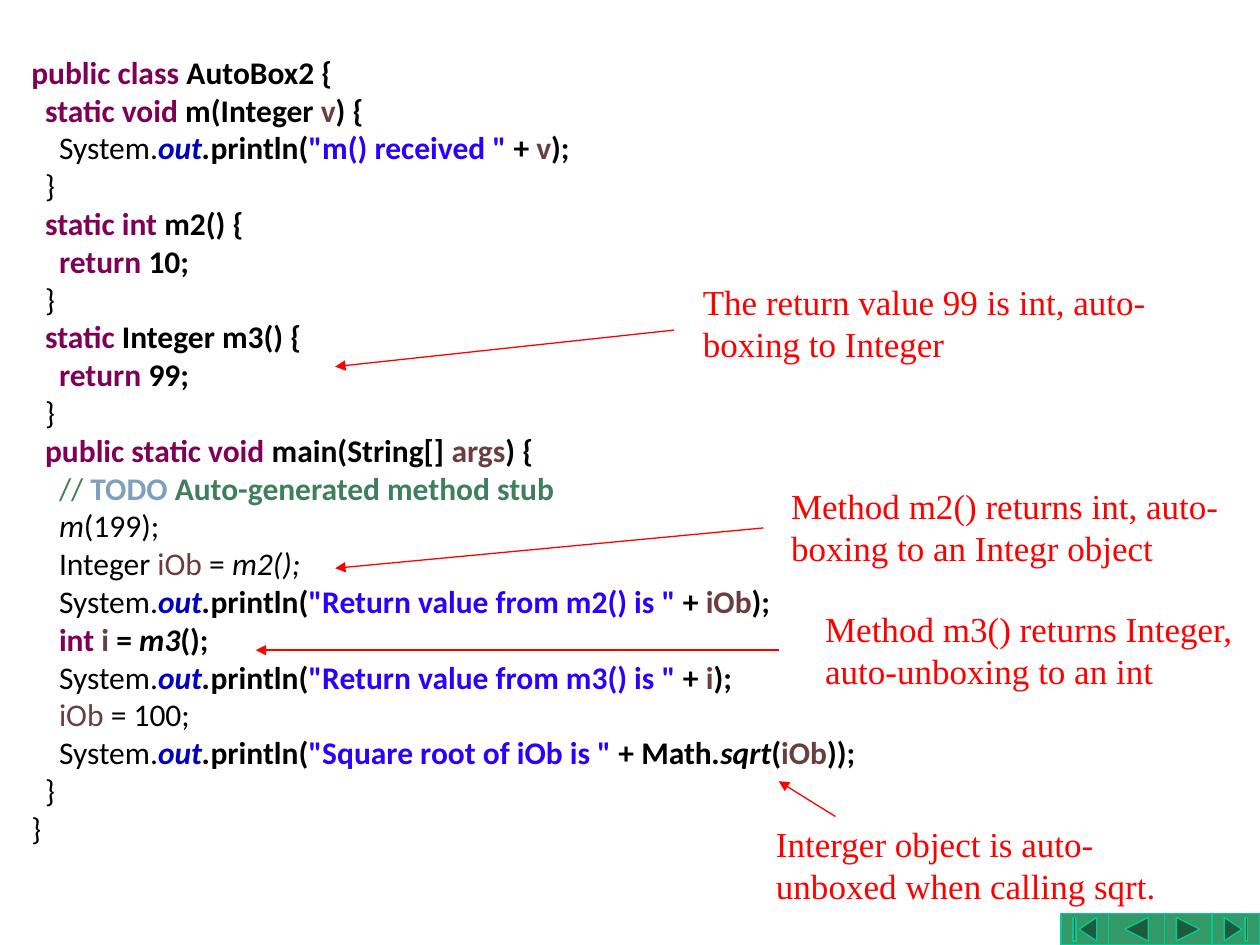
from dataclasses import dataclass
from lxml import etree
from pptx import Presentation
from pptx.dml.color import RGBColor
from pptx.enum.shapes import MSO_CONNECTOR, MSO_SHAPE
from pptx.enum.text import MSO_AUTO_SIZE
from pptx.oxml.ns import qn
from pptx.util import Inches, Pt

STRAIGHT = MSO_CONNECTOR.STRAIGHT
FIT = MSO_AUTO_SIZE.SHAPE_TO_FIT_TEXT
FIRST = MSO_SHAPE.ACTION_BUTTON_BEGINNING
BACK = MSO_SHAPE.ACTION_BUTTON_BACK_OR_PREVIOUS
NEXT = MSO_SHAPE.ACTION_BUTTON_FORWARD_OR_NEXT
LAST = MSO_SHAPE.ACTION_BUTTON_END


@dataclass(frozen=True)
class Theme:
    code_font: str = "Calibri"
    note_font: str = "Times New Roman"
    code_size: int = 18
    note_size: int = 20
    thin: float = 0.75
    step: float = 0.11
    black: str = "000000"
    key: str = "7F0055"
    name: str = "6A3E3E"
    field: str = "0000C0"
    text: str = "2A00FF"
    remark: str = "3F7F5F"
    todo: str = "7F9FBF"
    red: str = "FF0000"
    green: str = "339966"
    edge: str = "00CC99"


THEME = Theme()

# Code styles: colour, bold, italic
STYLES = {
    "plain": (THEME.black, False, False),
    "slant": (THEME.black, False, True),
    "bold": (THEME.black, True, False),
    "call": (THEME.black, True, True),
    "key": (THEME.key, True, False),
    "name": (THEME.name, True, False),
    "light": (THEME.name, False, False),
    "field": (THEME.field, True, True),
    "text": (THEME.text, True, False),
    "slash": (THEME.remark, False, False),
    "remark": (THEME.remark, True, False),
    "todo": (THEME.todo, True, False),
}


def printed(label, *rest):
    """Runs of one print statement."""
    return [("System.", "plain"), ("out", "field"), (".", "call"),
            ("println(", "bold"), (f'"{label} "', "text"), *rest]


def value(name):
    return [(" + ", "bold"), (name, "name"), (");", "bold")]


# Code lines: depth, runs
CLOSE = (1, [("}", "plain")])
CODE = [
    (0, [("public class", "key"), (" AutoBox2 {", "bold")]),
    (1, [("static void", "key"), (" m(Integer ", "bold"), ("v", "name"), (") {", "bold")]),
    (2, printed("m() received", *value("v"))),
    CLOSE,
    (1, [("static int", "key"), (" m2() {", "bold")]),
    (2, [("return", "key"), (" 10;", "bold")]),
    CLOSE,
    (1, [("static", "key"), (" Integer m3() {", "bold")]),
    (2, [("return", "key"), (" 99;", "bold")]),
    CLOSE,
    (1, [("public static void", "key"), (" main(String[] ", "bold"),
         ("args", "name"), (") {", "bold")]),
    (2, [("// ", "slash"), ("TODO", "todo"), (" Auto-generated method stub", "remark")]),
    (2, [("m", "slant"), ("(199);", "plain")]),
    (2, [("Integer ", "plain"), ("iOb", "light"), (" = ", "plain"), ("m2();", "slant")]),
    (2, printed("Return value from m2() is", *value("iOb"))),
    (2, [("int ", "key"), ("i", "name"), (" = ", "bold"), ("m3", "call"), ("();", "bold")]),
    (2, printed("Return value from m3() is", *value("i"))),
    (2, [("iOb", "light"), (" = 100;", "plain")]),
    (2, printed("Square root of iOb is", (" + Math", "bold"), (".sqrt", "call"),
                ("(", "bold"), ("iOb", "name"), ("));", "bold"))),
    CLOSE,
    (0, [("}", "plain")]),
]

# Notes: text, left, top, width
NOTES = [
    ("The return value 99 is int, auto-boxing to Integer", 5.48, 2.18, 3.94),
    ("Method m2() returns int, auto-boxing to an Integr object", 6.18, 3.8, 3.66),
    ("Method m3() returns Integer, auto-unboxing to an int", 6.45, 4.77, 3.55),
    ("Interger object is auto-unboxed when calling sqrt.", 6.06, 6.48, 3.55),
]

# Arrows: start x, y, end x, y
ARROWS = [
    (5.35, 2.62, 2.66, 2.91),
    (6.06, 4.19, 2.66, 4.51),
    (6.18, 5.16, 2.03, 5.16),
    (6.63, 6.48, 6.18, 6.2),
]

BUTTONS = [(FIRST, 0.38), (BACK, 0.44), (NEXT, 0.38), (LAST, 0.38)]


def color(code):
    return RGBColor.from_string(code)


def add_box(slide, *place):
    box = slide.shapes.add_textbox(*map(Inches, place))
    frame = box.text_frame
    frame.word_wrap = True
    frame.auto_size = FIT
    return frame


def add_run(para, text, tint, form):
    run = para.add_run()
    run.text = text
    for key, val in form.items():
        setattr(run.font, key, val)
    run.font.color.rgb = color(tint)


def add_code(slide):
    frame = add_box(slide, 0.15, 0.37, 6.98, 6.46)
    for row, (depth, runs) in enumerate(CODE):
        para = frame.add_paragraph() if row else frame.paragraphs[0]
        props = para._p.get_or_add_pPr()
        props.set("marL", str(Inches(depth * THEME.step)))
        props.set("indent", "0")
        for text, style in runs:
            tint, bold, slant = STYLES[style]
            add_run(para, text, tint, {
                "name": THEME.code_font, "size": Pt(THEME.code_size),
                "bold": bold, "italic": slant})


def add_note(slide, text, left, top, width):
    frame = add_box(slide, left, top, width, 0.77)
    add_run(frame.paragraphs[0], text, THEME.red, {
        "name": THEME.note_font, "size": Pt(THEME.note_size)})


def add_arrow(slide, *ends):
    arrow = slide.shapes.add_connector(STRAIGHT, *map(Inches, ends))
    arrow.line.color.rgb = color(THEME.red)
    arrow.line.width = Pt(THEME.thin)
    # Arrowhead, no shadow
    line = arrow.line._get_or_add_ln()
    etree.SubElement(line, qn("a:tailEnd"), type="triangle")
    etree.SubElement(arrow._element.spPr, qn("a:effectLst"))


def add_buttons(slide):
    left = 8.42
    for kind, width in BUTTONS:
        button = slide.shapes.add_shape(
            kind, *map(Inches, (left, 7.25, width, 0.25)))
        button.shadow.inherit = False
        button.fill.solid()
        button.fill.fore_color.rgb = color(THEME.green)
        button.line.color.rgb = color(THEME.edge)
        button.line.width = Pt(THEME.thin)
        left += width


def main():
    deck = Presentation()
    deck.slide_width, deck.slide_height = Inches(10), Inches(7.5)
    slide = deck.slides.add_slide(deck.slide_layouts[6])
    add_buttons(slide)
    add_code(slide)
    for note in NOTES:
        add_note(slide, *note)
    for ends in ARROWS:
        add_arrow(slide, *ends)
    deck.save("out.pptx")


main()
